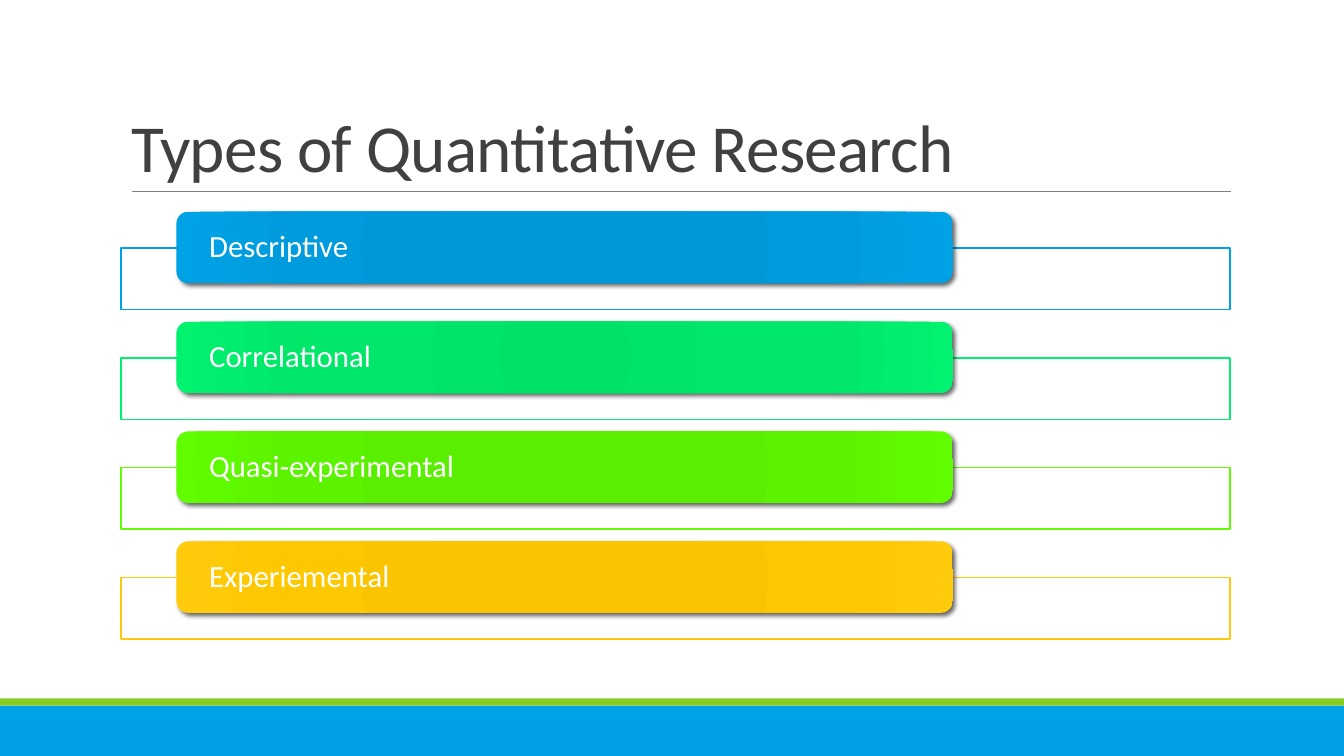
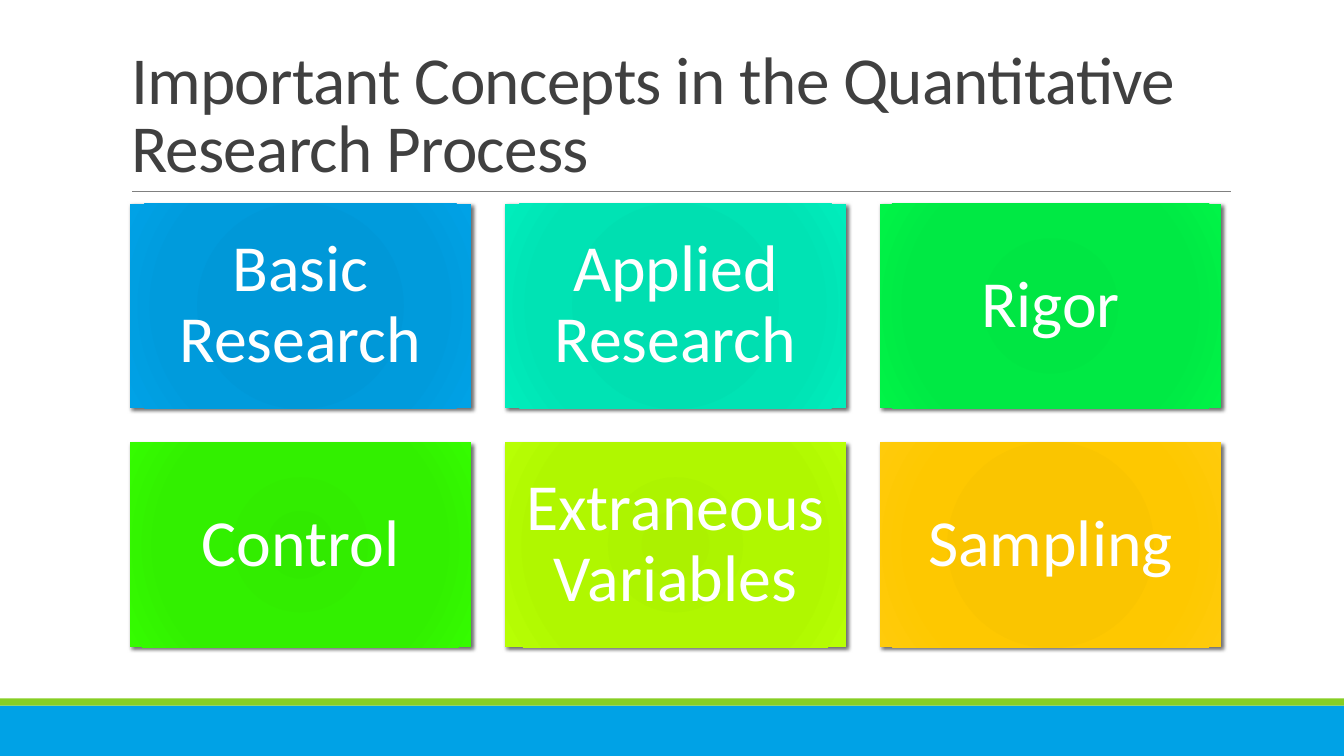
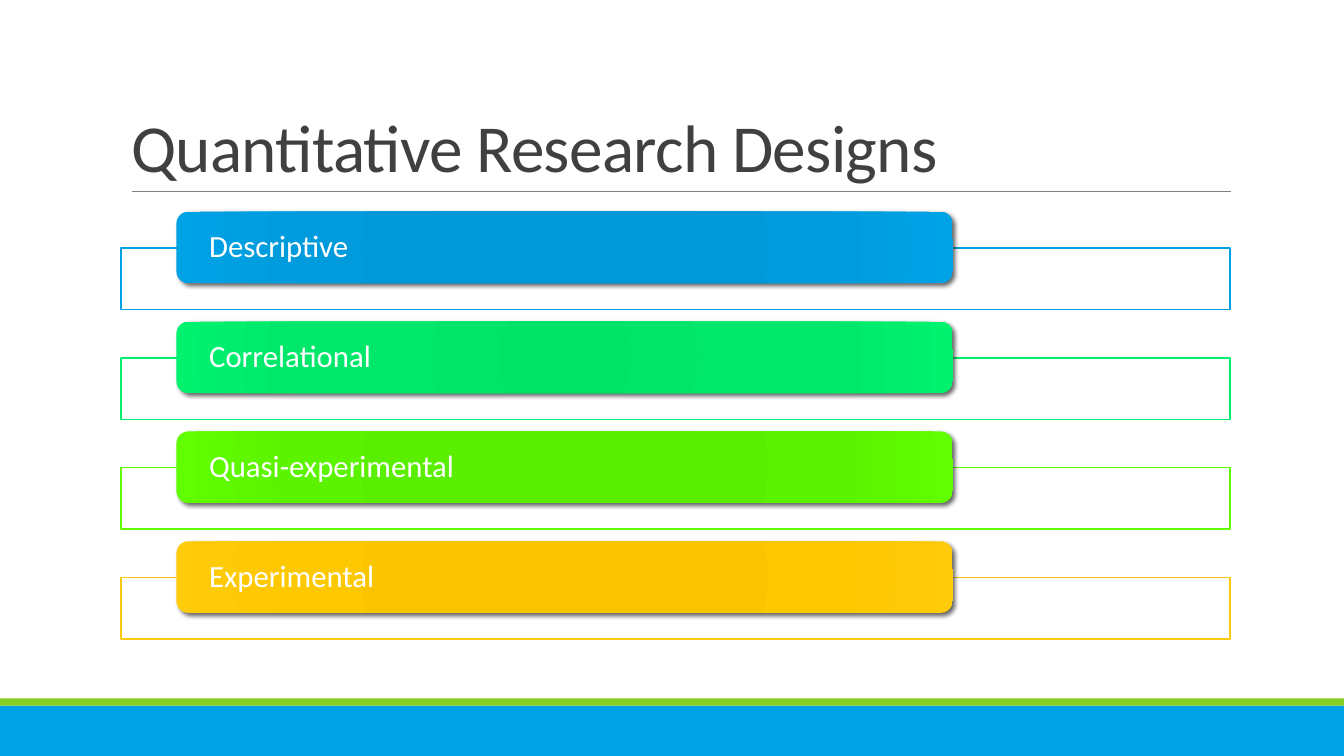
"""Build three slides on quantitative research."""
from dataclasses import dataclass

from pptx import Presentation
from pptx.dml.color import RGBColor
from pptx.enum import shapes, text
from pptx.oxml import parse_xml
from pptx.oxml.ns import nsdecls
from pptx.util import Inches, Pt

FONT = "Calibri"
WHITE, INK, RULE = "FFFFFF", "404040", "808080"
BLUE, GREEN = "00A2E6", "86CE24"
STOPS = (0, 34, 70, 100)
RECT = shapes.MSO_SHAPE.RECTANGLE
ROUND = shapes.MSO_SHAPE.ROUNDED_RECTANGLE
LEFT, MID = text.PP_ALIGN.LEFT, text.PP_ALIGN.CENTER


@dataclass(frozen=True)
class Box:
    """Place and size in inches."""
    x: float
    y: float
    w: float
    h: float

    def spans(self) -> tuple:
        """Return the four lengths."""
        return tuple(Inches(v) for v in (self.x, self.y, self.w, self.h))


@dataclass(frozen=True)
class Tone:
    """Gradient colours from centre to edge, and a frame colour."""
    grad: str
    edge: str = BLUE


@dataclass(frozen=True)
class Style:
    """Look of the text in a card."""
    size: float
    align: int
    pad_x: float
    pad_y: float


SKY = Tone("0097D6 0098D8 009BDC 00A2E6")
TEAL = Tone("00DDAF 00DFB1 00E3B4 00EDBC")
MINT = Tone("00E168 00E469 00E76A 00F26F", "02F06F")
LEAF = Tone("00E442 00E643 00E944 00F447")
GRASS = Tone("31EA00 32ED00 32F000 35FC00")
LIME = Tone("59ED00 5AEF00 5CF300 60FE00", "61FB03")
PEAR = Tone("ACF100 ADF400 B0F700 B7FF04")
GOLD = Tone("F8C300 FAC500 FEC800 FFCB0B", "FAC810")

BAR = Style(22, LEFT, 0.29, 0)
TILE = Style(47, MID, 0.2, 0.2)


def rgb(code: str) -> RGBColor:
    """Turn a hex string into a colour."""
    return RGBColor.from_string(code)


def node(tag: str, body: str = "", **attrs):
    """Make a drawing element."""
    pairs = "".join(f' {k}="{v}"' for k, v in attrs.items())
    return parse_xml(f'<a:{tag} {nsdecls("a")}{pairs}>{body}</a:{tag}>')


def plain(slide, kind, box: Box):
    """Add a shape without line or shadow."""
    shape = slide.shapes.add_shape(kind, *box.spans())
    shape.shadow.inherit = False
    shape.line.fill.background()
    return shape


def solid(slide, box: Box, code: str):
    """Add a rectangle of one colour."""
    shape = plain(slide, RECT, box)
    shape.fill.solid()
    shape.fill.fore_color.rgb = rgb(code)
    return shape


def write(frame, words: str, size: float, code: str, align, lead: float):
    """Write one paragraph and return its run."""
    frame.word_wrap = True
    para = frame.paragraphs[0]
    para.alignment, para.line_spacing = align, lead
    run = para.add_run()
    run.text = words
    font = run.font
    font.name, font.size, font.color.rgb = FONT, Pt(size), rgb(code)
    return run


def card(slide, kind, box: Box, tone: Tone, words: str, style: Style) -> None:
    """Add a glowing card with a shadow and a label."""
    shape = plain(slide, kind, box)
    stops = "".join(
        f'<a:gs pos="{pos * 1000}"><a:srgbClr val="{code}"/></a:gs>'
        for pos, code in zip(STOPS, tone.grad.split()))
    full = " ".join(f'{side}="100000"' for side in "ltrb")
    props = shape.element.spPr
    props.insert(2, node("gradFill", f'<a:gsLst>{stops}</a:gsLst><a:path '
                         f'path="circle"><a:fillToRect {full}/></a:path>'))
    props.find(".//{*}effectLst").append(node(
        "outerShdw",
        '<a:srgbClr val="000000"><a:alpha val="60000"/></a:srgbClr>',
        blurRad=Pt(3), dist=Pt(2), dir=45 * 60000, rotWithShape=0))
    frame = shape.text_frame
    frame.margin_left = frame.margin_right = Inches(style.pad_x)
    frame.margin_top = frame.margin_bottom = Inches(style.pad_y)
    frame.vertical_anchor = text.MSO_ANCHOR.MIDDLE
    write(frame, words, style.size, WHITE, style.align, 0.9)


def share(slide, layout) -> None:
    """Draw the bands and the rule, and move them to the layout."""
    low = solid(slide, Box(0, 7, 13.33, 0.5), BLUE)
    thin = solid(slide, Box(0, 6.93, 13.33, 0.07), GREEN)
    rule = slide.shapes.add_connector(
        shapes.MSO_CONNECTOR.STRAIGHT,
        Inches(1.31), Inches(1.9), Inches(12.21), Inches(1.9))
    rule.line.color.rgb, rule.line.width = rgb(RULE), Pt(0.5)
    rule.element.spPr.append(node("effectLst"))
    for part in (low, thin, rule):
        layout.shapes.element.append(part.element)


def head(slide, words: str) -> None:
    """Place and write the title."""
    title = slide.shapes.title
    title.left, title.top, title.width, title.height = Box(
        1.2, 0.31, 11, 1.59).spans()
    frame = title.text_frame
    frame.auto_size = text.MSO_AUTO_SIZE.NONE
    frame.vertical_anchor = text.MSO_ANCHOR.BOTTOM
    run = write(frame, words, 48, INK, LEFT, 0.85)
    run.font._element.set("spc", "-50")


def bars(slide, names: tuple) -> None:
    """Stack labelled bars over open frames."""
    for row, (words, tone) in enumerate(zip(names, (SKY, MINT, LIME, GOLD))):
        top = 2.1 + 1.09 * row
        back = solid(slide, Box(1.2, top + 0.36, 11, 0.61), WHITE)
        back.element.spPr.find(".//{*}srgbClr").append(
            node("alpha", val=90000))
        back.line.color.rgb, back.line.width = rgb(tone.edge), Pt(1)
        card(slide, ROUND, Box(1.75, top, 7.7, 0.71), tone, words, BAR)


def tiles(slide, names: tuple) -> None:
    """Set tiles in rows of three."""
    tones = (SKY, TEAL, LEAF, GRASS, PEAR, GOLD)
    for spot, (words, tone) in enumerate(zip(names, tones)):
        row, col = divmod(spot, 3)
        box = Box(1.29 + 3.72 * col, 2.02 + 2.37 * row, 3.38, 2.03)
        card(slide, RECT, box, tone, words, TILE)


PAGES = (
    ("Types of Quantitative Research", bars,
     ("Descriptive", "Correlational", "Quasi-experimental", "Experiemental")),
    ("Important Concepts in the Quantitative Research Process", tiles,
     ("Basic Research", "Applied Research", "Rigor",
      "Control", "Extraneous Variables", "Sampling")),
    ("Quantitative Research Designs", bars,
     ("Descriptive", "Correlational", "Quasi-experimental", "Experimental")),
)


def main() -> None:
    """Build and save the deck."""
    deck = Presentation()
    deck.slide_width, deck.slide_height = Inches(13.33), Inches(7.5)
    layout = deck.slide_layouts.get_by_name("Title Only")
    for page, (words, draw, names) in enumerate(PAGES):
        slide = deck.slides.add_slide(layout)
        if page == 0:
            share(slide, layout)
        head(slide, words)
        draw(slide, names)
    deck.save("out.pptx")


if __name__ == "__main__":
    main()
